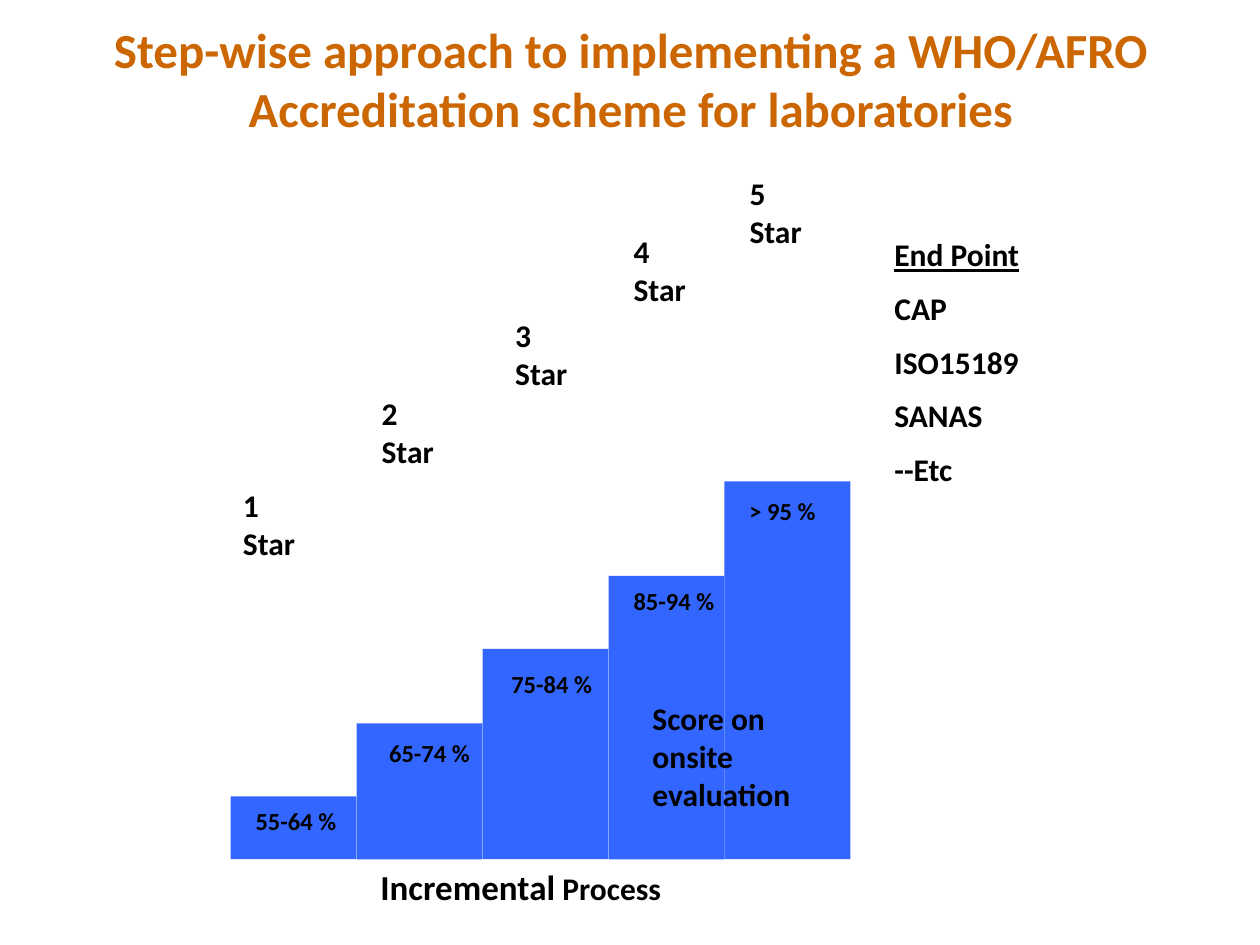
"""Build the step-wise laboratory accreditation slide."""
from dataclasses import dataclass
from typing import NamedTuple

from pptx import Presentation
from pptx.dml.color import RGBColor
from pptx.enum.shapes import MSO_SHAPE
from pptx.enum.text import MSO_ANCHOR, MSO_AUTO_SIZE, PP_ALIGN
from pptx.slide import Slide
from pptx.text.text import _Paragraph
from pptx.util import Inches, Pt


@dataclass(frozen=True)
class Theme:
    """Colours, font and type sizes of the slide."""
    font: str = "Calibri"
    heading: RGBColor = RGBColor(0xCC, 0x66, 0x00)
    ink: RGBColor = RGBColor(0x00, 0x00, 0x00)
    stair: RGBColor = RGBColor(0x33, 0x66, 0xFF)
    title_size: int = 28
    lead_size: int = 20
    body_size: int = 18
    score_size: int = 14
    paragraph_gap: int = 9


class Span(NamedTuple):
    """A run of bold text."""
    text: str
    size: int
    underline: bool = False


class Box(NamedTuple):
    """A position and size in inches."""
    left: float
    top: float
    width: float
    height: float


class Step(NamedTuple):
    """One stair with its score and its star rating."""
    left: float
    top: float
    width: float
    score: str
    score_at: tuple[float, float]
    stars: str
    stars_at: tuple[float, float]


THEME = Theme()
FLOOR = 6.82
STEPS = [
    Step(1.83, 6.32, 1, "55-64 %", (1.93, 6.35), "1 Star", (1.83, 3.81)),
    Step(2.83, 5.74, 1, "65-74 %", (2.99, 5.81), "2 Star", (2.93, 3.08)),
    Step(3.83, 5.15, 1, "75-84 %", (3.96, 5.26), "3 Star", (3.99, 2.46)),
    Step(4.83, 4.57, 0.92, "85-94 %", (4.93, 4.6), "4 Star", (4.93, 1.79)),
    Step(5.75, 3.82, 1, "> 95 %", (5.85, 3.89), "5 Star", (5.85, 1.33)),
]
END_POINTS = ["CAP", "ISO15189", "SANAS", "--Etc"]


def add_span(paragraph: _Paragraph, span: Span, color: RGBColor) -> None:
    """Append one formatted run."""
    run = paragraph.add_run()
    run.text = span.text
    run.font.name = THEME.font
    run.font.size = Pt(span.size)
    run.font.bold = True
    run.font.color.rgb = color
    if span.underline:
        run.font.underline = True


def add_title(slide: Slide, text: str) -> None:
    """Place and fill the title."""
    title = slide.shapes.title
    title.left, title.top, title.width, title.height = map(Inches, Box(0.67, 0, 8.67, 1.25))
    title.text_frame.vertical_anchor = MSO_ANCHOR.MIDDLE
    paragraph = title.text_frame.paragraphs[0]
    paragraph.alignment = PP_ALIGN.CENTER
    add_span(paragraph, Span(text, THEME.title_size), THEME.heading)


def add_text(slide: Slide, box: Box, *lines: list[Span]) -> None:
    """Add a wrapped text box with one paragraph per line."""
    frame = slide.shapes.add_textbox(*map(Inches, box)).text_frame
    frame.word_wrap = True
    frame.auto_size = MSO_AUTO_SIZE.SHAPE_TO_FIT_TEXT
    for index, spans in enumerate(lines):
        paragraph = frame.add_paragraph() if index else frame.paragraphs[0]
        if index:
            paragraph.space_before = Pt(THEME.paragraph_gap)
        for span in spans:
            add_span(paragraph, span, THEME.ink)


def add_stair(slide: Slide, step: Step) -> None:
    """Draw one stair down to the common floor."""
    box = Box(step.left, step.top, step.width, FLOOR - step.top)
    stair = slide.shapes.add_shape(MSO_SHAPE.RECTANGLE, *map(Inches, box))
    stair.shadow.inherit = False
    stair.fill.solid()
    stair.fill.fore_color.rgb = THEME.stair
    stair.line.fill.background()


def main() -> None:
    """Build and save the slide."""
    deck = Presentation()
    deck.slide_width, deck.slide_height = Inches(10), Inches(7.5)
    slide = deck.slides.add_slide(deck.slide_layouts[5])
    add_title(slide, "Step-wise approach to implementing a WHO/AFRO "
                     "Accreditation scheme for laboratories")
    for step in STEPS:
        add_stair(slide, step)
    for step in STEPS:
        add_text(slide, Box(*step.stars_at, 0.75, 0.7), [Span(step.stars, THEME.body_size)])
        add_text(slide, Box(*step.score_at, 1, 0.33), [Span(step.score, THEME.score_size)])
    add_text(slide, Box(2.92, FLOOR, 4.67, 0.43),
             [Span("Incremental", THEME.lead_size), Span(" Process", THEME.body_size)])
    add_text(slide, Box(7, 1.82, 1.58, 2.27),
             [Span("End Point", THEME.body_size, underline=True)],
             *([Span(name, THEME.body_size)] for name in END_POINTS))
    add_text(slide, Box(5.08, 5.5, 1.58, 1),
             [Span("Score on onsite evaluation", THEME.body_size)])
    deck.save("out.pptx")


if __name__ == "__main__":
    main()
